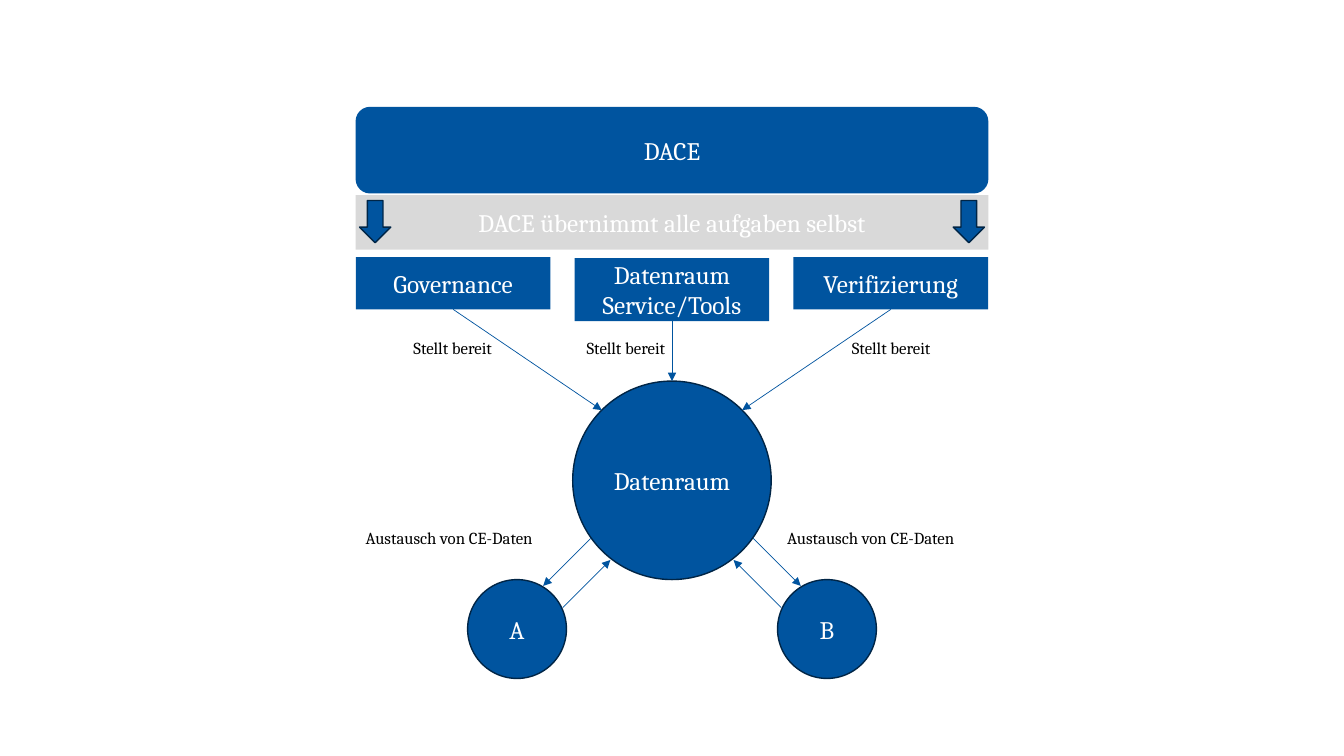
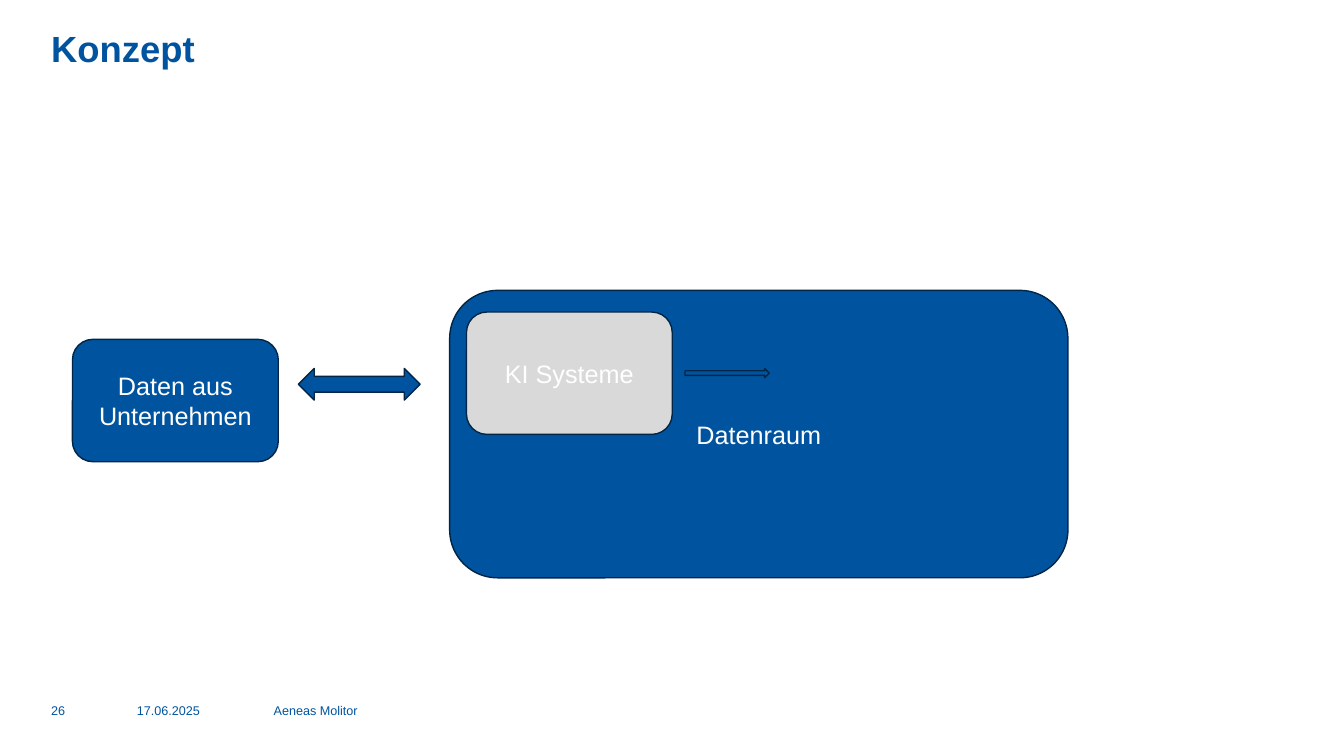
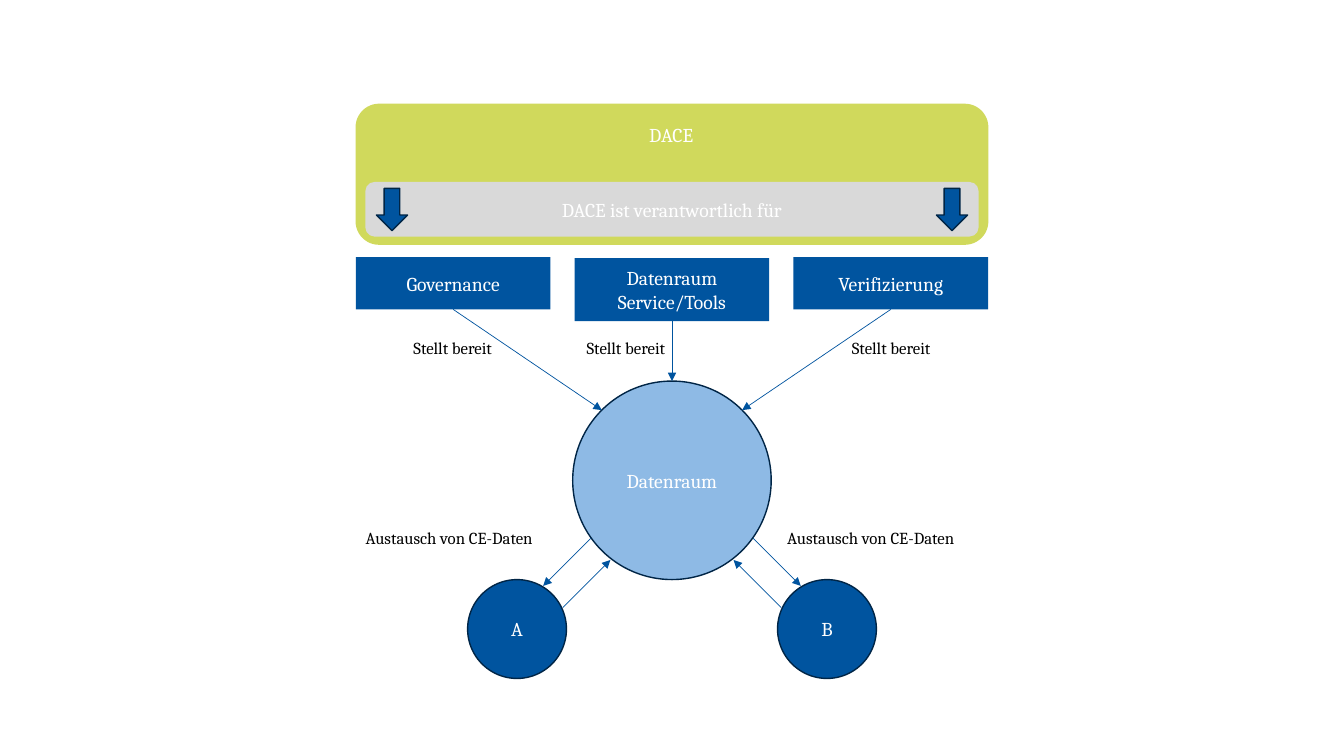
from dataclasses import dataclass
from math import sqrt
from typing import Optional

from pptx import Presentation
from pptx.dml.color import RGBColor
from pptx.enum.shapes import MSO_CONNECTOR as Connector, MSO_SHAPE as Preset
from pptx.enum.text import MSO_ANCHOR as Anchor, MSO_AUTO_SIZE as AutoSize, PP_ALIGN as Align
from pptx.oxml.ns import qn
from pptx.util import Pt

COLORS = {
    "blue": "00549F",
    "navy": "002546",
    "light_blue": "8EBAE5",
    "lime": "D0D95C",
    "gray": "D9D9D9",
    "white": "FFFFFF",
    "black": "000000",
}
SLIDE_WIDTH, SLIDE_HEIGHT = 960, 540
CENTER = SLIDE_WIDTH / 2
DEFAULT_INSETS = (7.2, 3.6, 7.2, 3.6)
NO_INSETS = (0, 0, 0, 0)

HEADER_LEFT, HEADER_WIDTH = 254, 452
SERVICE_WIDTH, SERVICE_STEP = 139, 156.3
HUB_TOP, HUB_SIZE = 272.2, 141.8
HUB_DIAGONAL = HUB_SIZE / 2 / sqrt(2)
PARTNER_TOP, PARTNER_SIZE, PARTNER_OFFSET = 414, 70.6, 110.7
DOWN_WIDTH, DOWN_HEIGHT = 22.3, 30.2


@dataclass(frozen=True)
class Block:
    preset: Preset
    left: float
    top: float
    width: float
    height: float
    fill: str = "blue"
    text: str = ""
    size: float = 18
    font: str = "Cambria"
    outlined: bool = False
    insets: tuple = DEFAULT_INSETS
    anchor: Anchor = Anchor.MIDDLE


@dataclass(frozen=True)
class Label:
    text: str
    left: float
    top: float
    width: float
    height: float
    size: float = 12
    font: str = "Cambria"
    color: str = "black"
    bold: bool = False
    align: Align = Align.LEFT
    anchor: Anchor = Anchor.TOP
    wrap: bool = True
    grow: bool = False
    line_spacing: Optional[float] = None


@dataclass(frozen=True)
class Service:
    text: str
    top: float
    height: float
    insets: tuple
    label_center: float


@dataclass(frozen=True)
class DiagramStyle:
    size: float
    hub_fill: str
    header: tuple[Block, ...]
    down_top: float
    down_offset: float


SERVICES = (
    Service("Governance", 183.6, 37.4, DEFAULT_INSETS, 323.4),
    Service("Datenraum Service/Tools", 184.3, 45.1, NO_INSETS, 447.1),
    Service("Verifizierung", 183.6, 37.4, DEFAULT_INSETS, 636.6),
)

TASKS_DONE_BY_DACE = DiagramStyle(
    18, "blue",
    (
        Block(Preset.ROUNDED_RECTANGLE, HEADER_LEFT, 76.3, HEADER_WIDTH, 61.9, text="DACE"),
        Block(Preset.RECTANGLE, HEADER_LEFT, 139.4, HEADER_WIDTH, 39, "gray",
              "DACE übernimmt alle aufgaben selbst"),
    ),
    143.2, 212,
)
TASKS_OWNED_BY_DACE = DiagramStyle(
    14, "light_blue",
    (
        Block(Preset.ROUNDED_RECTANGLE, HEADER_LEFT, 74.1, HEADER_WIDTH, 100.8, "lime", "DACE", 14,
              insets=(6, 8.6, 7.2, 3.6), anchor=Anchor.TOP),
        Block(Preset.ROUNDED_RECTANGLE, HEADER_LEFT + 7, 130, HEADER_WIDTH - 14, 39, "gray",
              "DACE ist verantwortlich für", 14),
    ),
    134.6, 200,
)

CONCEPT_BLOCKS = (
    Block(Preset.ROUNDED_RECTANGLE, 51.8, 242.4, 147, 87.4, text="Daten aus Unternehmen",
          font="Arial", outlined=True),
    Block(Preset.ROUNDED_RECTANGLE, 321.2, 207.4, 441.6, 205.3, text="Datenraum",
          font="Arial", outlined=True),
    Block(Preset.LEFT_RIGHT_ARROW, 213.2, 263.2, 86.9, 22.6, outlined=True),
    Block(Preset.RIGHT_ARROW, 489.3, 263.2, 60.2, 6.6, outlined=True),
    Block(Preset.ROUNDED_RECTANGLE, 333.2, 222.9, 147, 87.4, "gray", "KI Systeme",
          font="Arial", outlined=True),
)
FOOTERS = (("26", 29.5, 44), ("17.06.2025", 90.7, 81.4), ("Aeneas Molitor", 188.4, 403.2))


def rgb(name: str) -> RGBColor:
    return RGBColor.from_string(COLORS[name])


def set_font(paragraph, name: str, size: float, color: str, bold: bool = False) -> None:
    font = paragraph.font
    font.name = name
    font.size = Pt(size)
    font.bold = bold
    font.color.rgb = rgb(color)


def add_block(shapes, block: Block):
    shape = shapes.add_shape(block.preset, Pt(block.left), Pt(block.top),
                             Pt(block.width), Pt(block.height))
    shape.shadow.inherit = False
    shape.fill.solid()
    shape.fill.fore_color.rgb = rgb(block.fill)
    if block.outlined:
        shape.line.color.rgb = rgb("navy")
        shape.line.width = Pt(1)
    else:
        shape.line.fill.background()
    if block.text:
        frame = shape.text_frame
        frame.word_wrap = True
        frame.vertical_anchor = block.anchor
        (frame.margin_left, frame.margin_top,
         frame.margin_right, frame.margin_bottom) = map(Pt, block.insets)
        paragraph = frame.paragraphs[0]
        paragraph.text = block.text
        paragraph.alignment = Align.CENTER
        set_font(paragraph, block.font, block.size, "white")
    return shape


def add_label(shapes, label: Label) -> None:
    shape = shapes.add_textbox(Pt(label.left), Pt(label.top), Pt(label.width), Pt(label.height))
    frame = shape.text_frame
    frame.word_wrap = label.wrap
    frame.vertical_anchor = label.anchor
    frame.auto_size = AutoSize.SHAPE_TO_FIT_TEXT if label.grow else AutoSize.NONE
    paragraph = frame.paragraphs[0]
    paragraph.text = label.text
    paragraph.alignment = label.align
    if label.line_spacing:
        paragraph.line_spacing = label.line_spacing
    set_font(paragraph, label.font, label.size, label.color, label.bold)


def add_arrow(shapes, start: tuple[float, float], end: tuple[float, float]):
    connector = shapes.add_connector(Connector.STRAIGHT, *map(Pt, start + end))
    connector.line.color.rgb = rgb("blue")
    connector.line.width = Pt(0.5)
    line = connector.line._get_or_add_ln()
    line.append(line.makeelement(qn("a:tailEnd"), {"type": "triangle"}))
    properties = connector._element.spPr
    properties.append(properties.makeelement(qn("a:effectLst"), {}))
    return connector


def add_services(shapes, hub, size: float) -> None:
    for column, service in enumerate(SERVICES, start=-1):
        center = CENTER + column * SERVICE_STEP
        box = add_block(shapes, Block(
            Preset.RECTANGLE, center - SERVICE_WIDTH / 2, service.top, SERVICE_WIDTH,
            service.height, text=service.text, size=size, insets=service.insets))
        drop = HUB_SIZE / 2 - HUB_DIAGONAL if column else 0
        arrow = add_arrow(shapes, (center, service.top + service.height),
                          (CENTER + column * HUB_DIAGONAL, HUB_TOP + drop))
        arrow.begin_connect(box, 2)
        if column == 0:
            arrow.end_connect(hub, 0)
        add_label(shapes, Label("Stellt bereit", service.label_center - 54.7, 237.6, 109.4, 21.8,
                                align=Align.CENTER, grow=True))


def add_partners(shapes, size: float) -> None:
    for side, name, label_left in ((-1, "A", 254), (1, "B", 555.2)):
        add_block(shapes, Block(
            Preset.OVAL, CENTER + side * PARTNER_OFFSET - PARTNER_SIZE / 2, PARTNER_TOP,
            PARTNER_SIZE, PARTNER_SIZE, text=name, size=size, outlined=True))
        add_arrow(shapes, (CENTER + side * 58, 384.5), (CENTER + side * 92, 418.5))
        add_arrow(shapes, (CENTER + side * 78, 434), (CENTER + side * 44, 400))
        add_label(shapes, Label("Austausch von CE-Daten", label_left, 373.7, 150.5, 21.8,
                                wrap=False, grow=True))


def draw_diagram(shapes, style: DiagramStyle) -> None:
    for block in style.header:
        add_block(shapes, block)
    for side in (-1, 1):
        add_block(shapes, Block(
            Preset.DOWN_ARROW, CENTER + side * style.down_offset - DOWN_WIDTH / 2,
            style.down_top, DOWN_WIDTH, DOWN_HEIGHT, outlined=True))
    hub = add_block(shapes, Block(
        Preset.OVAL, CENTER - HUB_SIZE / 2, HUB_TOP, HUB_SIZE, HUB_SIZE, style.hub_fill,
        "Datenraum", style.size, outlined=True, insets=NO_INSETS))
    add_services(shapes, hub, style.size)
    add_partners(shapes, style.size)


def draw_concept(shapes) -> None:
    add_label(shapes, Label("Konzept", 29.5, 13.7, 828, 40.3, 26, "Arial", "blue", True,
                            anchor=Anchor.BOTTOM, line_spacing=0.9))
    for text, left, width in FOOTERS:
        add_label(shapes, Label(text, left, 493.2, width, 28.8, 9, "Arial", "blue",
                                anchor=Anchor.MIDDLE))
    for block in CONCEPT_BLOCKS:
        add_block(shapes, block)


def main() -> None:
    presentation = Presentation()
    presentation.slide_width = Pt(SLIDE_WIDTH)
    presentation.slide_height = Pt(SLIDE_HEIGHT)
    blank = presentation.slide_layouts[6]
    first, second, third = (presentation.slides.add_slide(blank) for _ in range(3))
    draw_diagram(first.shapes, TASKS_DONE_BY_DACE)
    draw_concept(second.shapes)
    draw_diagram(third.shapes.add_group_shape().shapes, TASKS_OWNED_BY_DACE)
    presentation.save("out.pptx")


if __name__ == "__main__":
    main()
